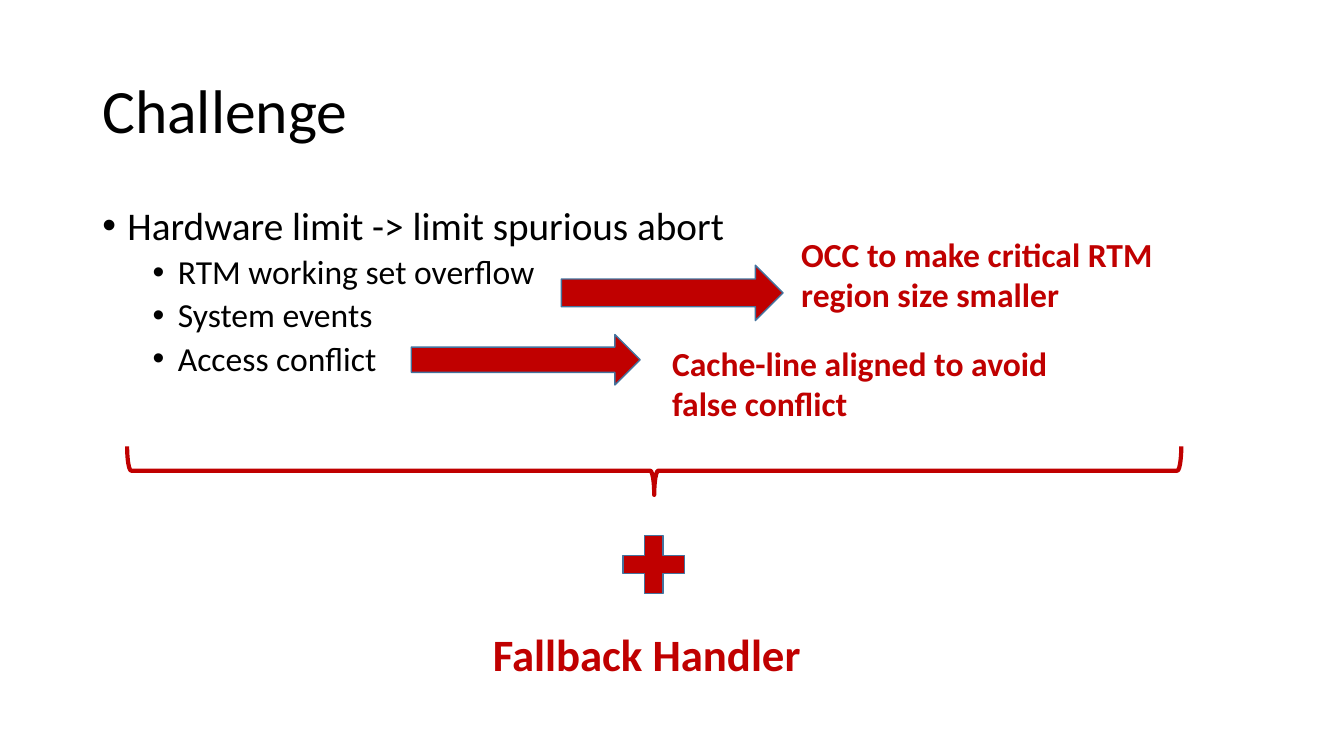
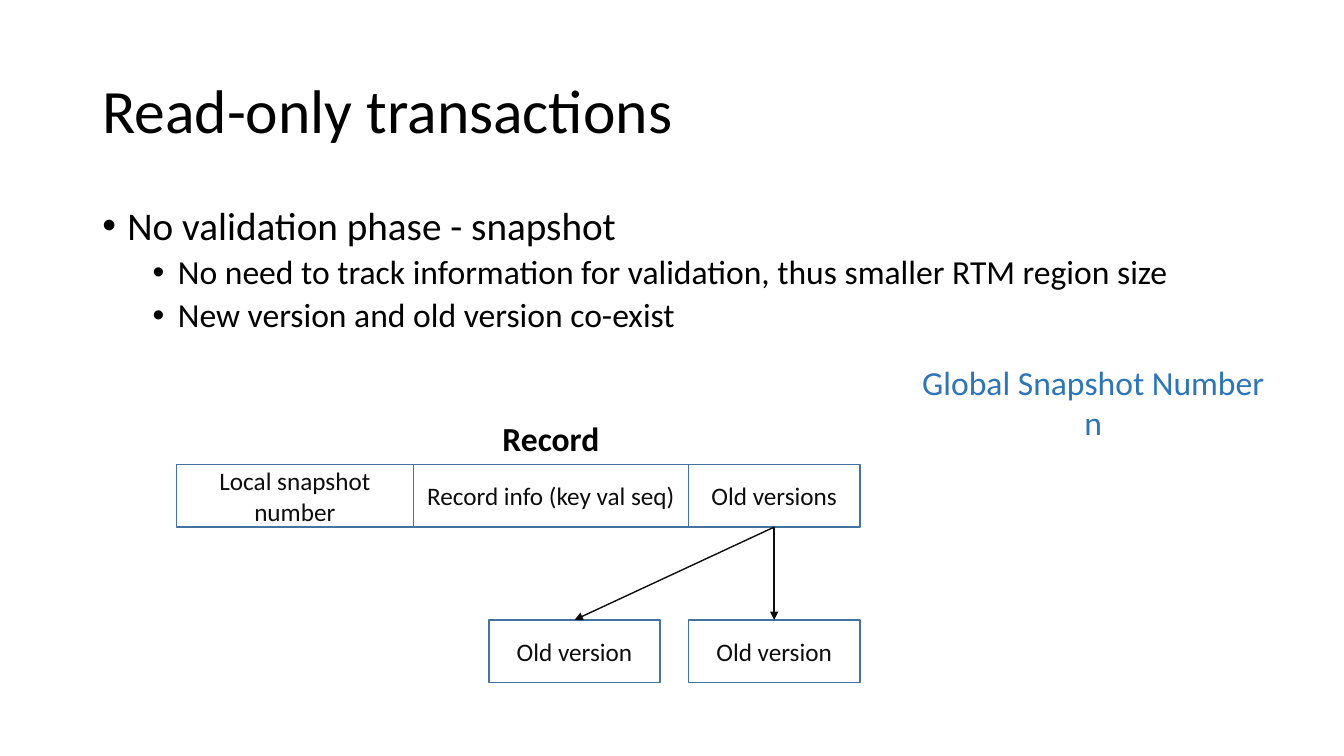
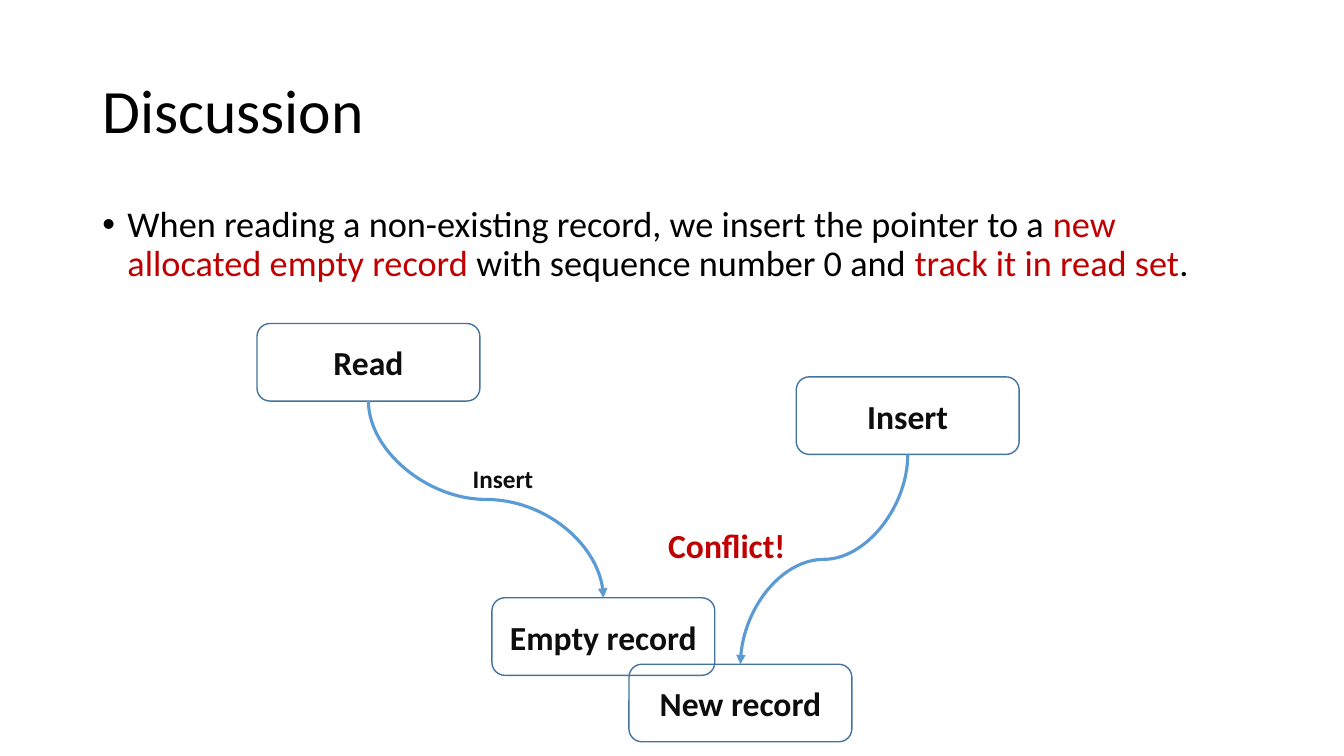
from dataclasses import dataclass

import lxml.etree as etree
import pptx
import pptx.dml.color
import pptx.enum.shapes
import pptx.enum.text
import pptx.oxml.ns
import pptx.shapes.autoshape
import pptx.shapes.connector
import pptx.slide
import pptx.text.text
import pptx.util

Pt = pptx.util.Pt
RGB = pptx.dml.color.RGBColor
KIND = pptx.enum.shapes.MSO_SHAPE
LINK = pptx.enum.shapes.MSO_CONNECTOR
ALIGN = pptx.enum.text.PP_ALIGN
ANCHOR = pptx.enum.text.MSO_ANCHOR
FIT = pptx.enum.text.MSO_AUTO_SIZE
Shape = pptx.shapes.autoshape.Shape
Slide = pptx.slide.Slide
Para = pptx.text.text._Paragraph
qn = pptx.oxml.ns.qn

# Shared look
FONT = "Calibri"
HUES = {
    "black": "000000", "ink": "0D0D0D", "red": "C00000",
    "edge": "43739E", "blue": "2E75B6", "sky": "5B9BD5",
}
LEFT, WIDE = 66, 828
BOTTOM, TOP = 2, 0  # connection sites


@dataclass
class Box:
    x: float
    y: float
    w: float
    h: float


@dataclass
class Style:
    size: float
    hue: str = "black"
    bold: bool = False


@dataclass
class Item:
    spans: list[tuple[str, str]]
    level: int = 0
    size: float = 28


@dataclass
class Label:
    text: str
    box: Box
    style: Style
    align: ALIGN = ALIGN.LEFT
    wrap: bool = True
    indent: float = 0


@dataclass
class Node:
    text: str
    box: Box


CELL = Style(18, "ink")
STEP = Style(24, "ink", True)
NOTE = Style(24, "red", True)

deck = pptx.Presentation()
deck.slide_width, deck.slide_height = Pt(960), Pt(540)


# Text
def paint(para: Para, style: Style) -> None:
    for run in para.runs:
        font = run.font
        font.name, font.size, font.bold = FONT, Pt(style.size), style.bold
        font.color.rgb = RGB.from_string(HUES[style.hue])


def add_box(slide: Slide, box: Box) -> Shape:
    shape = slide.shapes.add_textbox(Pt(box.x), Pt(box.y), Pt(box.w), Pt(box.h))
    shape.text_frame.word_wrap = True
    return shape


def add_label(slide: Slide, label: Label) -> None:
    frame = add_box(slide, label.box).text_frame
    frame.word_wrap = label.wrap
    frame.auto_size = FIT.SHAPE_TO_FIT_TEXT
    frame.text = label.text
    for para in frame.paragraphs:
        para.alignment = label.align
        if label.indent:
            para._p.get_or_add_pPr().set("marL", str(Pt(label.indent)))
        paint(para, label.style)


def add_item(para: Para, item: Item) -> None:
    para.line_spacing = 0.9
    para.space_before = Pt(5 if item.level else 10)
    para.level = item.level
    props = para._p.get_or_add_pPr()
    props.set("marL", str(Pt(18 + 36 * item.level)))
    props.set("indent", str(Pt(-18)))
    etree.SubElement(props, qn("a:buFont")).set("typeface", "Arial")
    etree.SubElement(props, qn("a:buChar")).set("char", "•")
    for text, _ in item.spans:
        para.add_run().text = text
    paint(para, Style(item.size))
    for run, (_, hue) in zip(para.runs, item.spans):
        run.font.color.rgb = RGB.from_string(HUES[hue])


def add_page(title: str, items: list[Item], high: float = 342.6) -> Slide:
    slide = deck.slides.add_slide(deck.slide_layouts[6])
    head = add_box(slide, Box(LEFT, 28.75, WIDE, 104.4)).text_frame
    head.vertical_anchor = ANCHOR.MIDDLE
    head.text = title
    head.paragraphs[0].line_spacing = 0.9
    paint(head.paragraphs[0], Style(44))
    body = add_box(slide, Box(LEFT, 143.75, WIDE, high)).text_frame
    for index, item in enumerate(items):
        add_item(body.add_paragraph() if index else body.paragraphs[0], item)
    return slide


def bullets(main: str, *subs: str) -> list[Item]:
    return [Item([(main, "black")])] + [Item([(sub, "black")], 1, 24) for sub in subs]


# Shapes
def add_form(slide: Slide, kind: KIND, box: Box, fill: str = "",
             edge: str = "edge", width: float = 1) -> Shape:
    shape = slide.shapes.add_shape(kind, Pt(box.x), Pt(box.y), Pt(box.w), Pt(box.h))
    shape.shadow.inherit = False
    if fill:
        shape.fill.solid()
        shape.fill.fore_color.rgb = RGB.from_string(HUES[fill])
    else:
        shape.fill.background()
    shape.line.color.rgb = RGB.from_string(HUES[edge])
    shape.line.width = Pt(width)
    return shape


def add_node(slide: Slide, kind: KIND, node: Node, style: Style) -> Shape:
    shape = add_form(slide, kind, node.box)
    frame = shape.text_frame
    frame.word_wrap = True
    frame.vertical_anchor = ANCHOR.MIDDLE
    frame.text = node.text
    frame.paragraphs[0].alignment = ALIGN.CENTER
    paint(frame.paragraphs[0], style)
    return shape


def add_link(slide: Slide, start: Shape, end: Shape, hue: str, width: float,
             curved: bool = False) -> None:
    kind = LINK.CURVE if curved else LINK.STRAIGHT
    link = slide.shapes.add_connector(kind, 0, 0, 0, 0)
    link.begin_connect(start, BOTTOM)
    link.end_connect(end, TOP)
    link.line.color.rgb = RGB.from_string(HUES[hue])
    link.line.width = Pt(width)
    props = link.element.spPr
    etree.SubElement(props.find(qn("a:ln")), qn("a:tailEnd")).set("type", "triangle")
    etree.SubElement(props, qn("a:effectLst"))
    if curved:
        turn(link)


def turn(link: pptx.shapes.connector.Connector) -> None:
    """Turn the frame a quarter so that the curve leaves downwards."""
    right = link.end_x > link.begin_x
    mid_x = link.left + link.width // 2
    mid_y = link.top + link.height // 2
    wide, high = link.height, link.width
    link.left, link.top = mid_x - wide // 2, mid_y - high // 2
    link.width, link.height = wide, high
    frame = link.element.spPr.find(qn("a:xfrm"))
    frame.set("rot", str((270 if right else 90) * 60000))
    frame.set("flipH", "1" if right else "0")


# Slide 1: challenge
page = add_page("Challenge", bullets(
    "Hardware limit -> limit spurious abort",
    "RTM working set overflow", "System events", "Access conflict"))
for box in (Box(401, 189.4, 158.4, 39.6), Box(293.8, 239, 163.4, 36)):
    add_form(page, KIND.RIGHT_ARROW, box, "red")
brace = add_form(page, KIND.RIGHT_BRACE, Box(450, -40.3, 34.6, 753), "", "red", 3)
brace.rotation = 90
add_form(page, KIND.MATH_PLUS, Box(437, 375.1, 59.8, 56.2), "red")
for label in (
    Label("OCC to make critical RTM region size smaller",
          Box(529.2, 163.4, 342, 65.5), NOTE, indent=36),
    Label("Cache-line aligned to avoid false conflict",
          Box(437, 241.2, 342, 65.5), NOTE, indent=36),
    Label("Fallback Handler", Box(308.9, 444.2, 342, 46),
          Style(32, "red", True), indent=36),
):
    add_label(page, label)

# Slide 2: record with its old versions
page = add_page("Read-only transactions", bullets(
    "No validation phase - snapshot",
    "No need to track information for validation, thus smaller RTM region size",
    "New version and old version co-exist"))
ROW, LOW, HIGH = 331.9, 442.8, 44.6
cells = [add_node(page, KIND.RECTANGLE, node, CELL) for node in (
    Node("Local snapshot number", Box(126, ROW, 169.2, HIGH)),
    Node("Record info (key val seq)", Box(295.2, ROW, 196.6, HIGH)),
    Node("Old versions", Box(491.8, ROW, 122.4, HIGH)),
)]
for x in (349.2, 491.8):
    old = add_node(page, KIND.RECTANGLE,
                   Node("Old version", Box(x, LOW, 122.4, HIGH)), CELL)
    add_link(page, cells[-1], old, "ink", 1)
add_label(page, Label("Global Snapshot Number\nn", Box(650.2, 254.9, 261.4, 65.5),
                      Style(24, "blue"), ALIGN.CENTER, False))
add_label(page, Label("Record", Box(351.4, 295.2, 84.2, 36),
                      Style(24, "black", True), ALIGN.CENTER, False))

# Slide 3: read and insert in conflict
page = add_page("Discussion", [Item([
    ("When reading a non-existing record, we insert the pointer to a ", "black"),
    ("new allocated empty record", "red"),
    (" with sequence number 0 and ", "black"),
    ("track it in read set", "red"),
    (".", "black"),
], size=25.9)], 79.2)
read, insert, fresh, empty = [
    add_node(page, KIND.ROUNDED_RECTANGLE, Node(text, Box(x, y, 159.2, 55.4)), STEP)
    for text, x, y in (
        ("Read", 183.6, 231.1), ("Insert", 568.8, 269.2),
        ("New record", 449.3, 474.5), ("Empty record", 351.4, 427),
    )]
for start, end in ((read, empty), (insert, fresh)):
    add_link(page, start, end, "sky", 2.25, True)
add_label(page, Label("Insert", Box(330.5, 327.6, 58.3, 28.8),
                      Style(18, "ink", True), wrap=False))
add_label(page, Label("Conflict!", Box(470.2, 371.5, 178.6, 36), NOTE))

deck.save("out.pptx")
